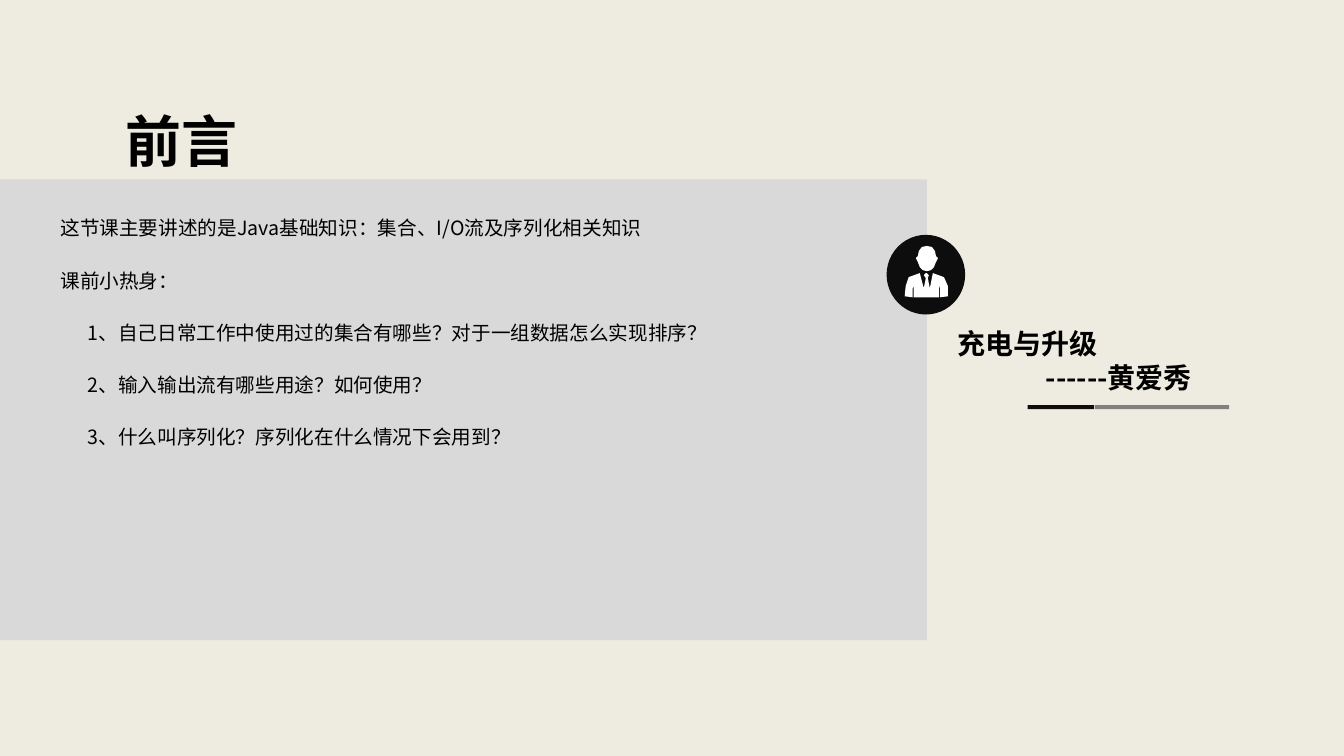
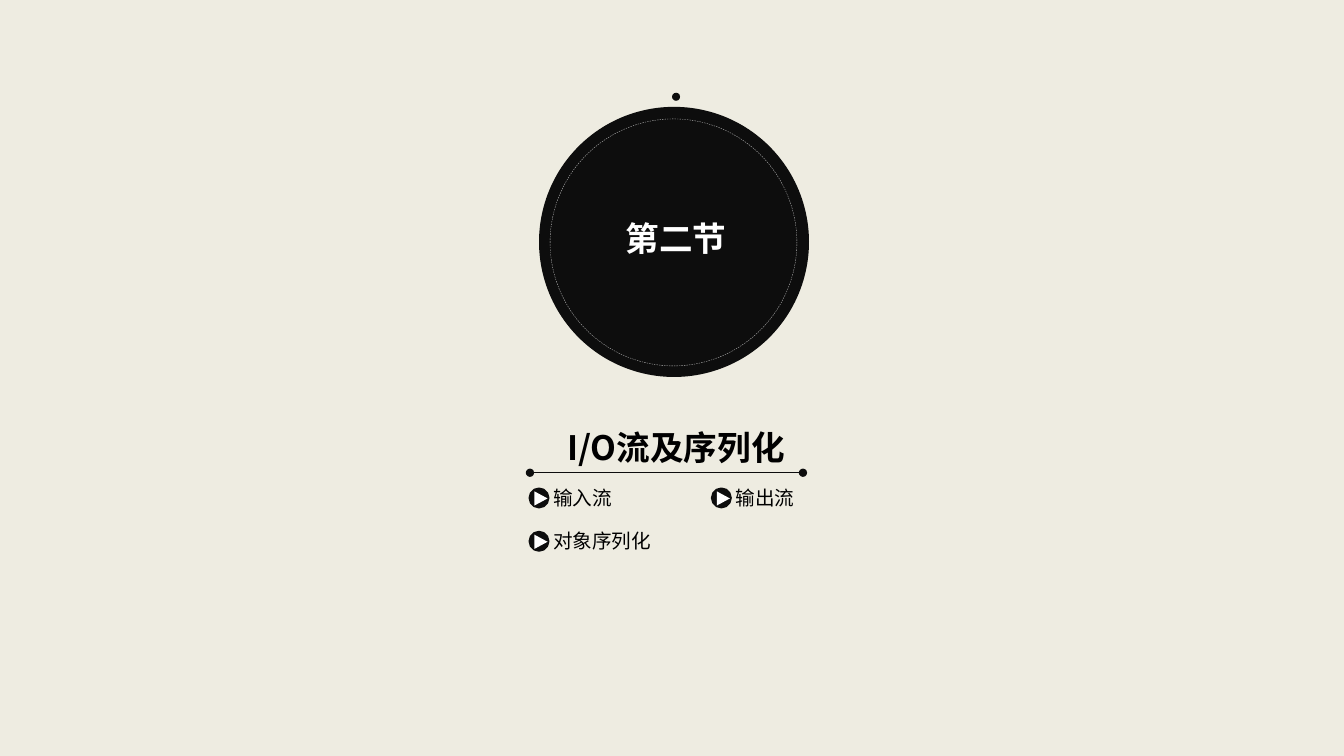
from dataclasses import dataclass
from typing import Any

import pptx
import pptx.dml.color
import pptx.enum.dml
import pptx.enum.shapes
import pptx.enum.text
import pptx.oxml.ns
import pptx.oxml.xmlchemy
import pptx.util

PX = 9144  # EMU per px, 100 px to the inch
FONT = "Noto Sans CJK SC"
PAPER, PANEL, INK = "EEECE1", "D9D9D9", "0D0D0D"
BLACK, WHITE, GRAY, SILVER = "000000", "FFFFFF", "808080", "BFBFBF"

KIND = pptx.enum.shapes.MSO_SHAPE
ALIGN = pptx.enum.text.PP_ALIGN
ANCHOR = pptx.enum.text.MSO_ANCHOR
qn = pptx.oxml.ns.qn
make = pptx.oxml.xmlchemy.OxmlElement

SUIT = [(941, 284), (937, 275), (926, 271), (923, 286), (921, 276), (922, 273),
        (920, 271), (919, 271), (917, 273), (919, 276), (917, 286), (913, 271),
        (902, 275), (899, 284), (898, 294), (906, 295), (906, 286), (907, 283),
        (907, 295), (932, 295), (932, 283), (933, 286), (933, 295), (941, 294)]
HEAD = [(911, 254), (912, 249), (915, 245), (920, 244), (925, 245), (928, 249),
        (929, 254), (931, 256), (929, 260), (927, 265), (924, 268), (920, 269),
        (916, 268), (913, 265), (911, 260), (909, 256)]


@dataclass(frozen=True)
class Box:
    left: int
    top: int
    width: int
    height: int

    def emu(self) -> tuple[int, ...]:
        return tuple(n * PX for n in (self.left, self.top, self.width, self.height))


@dataclass(frozen=True)
class Style:
    size: int
    bold: bool = False
    color: str = BLACK
    align: Any = ALIGN.LEFT
    anchor: Any = ANCHOR.TOP
    inset: tuple[int, int] = (0, 0)
    space: float = 1.0
    after: int = 0


@dataclass(frozen=True)
class Line:
    text: str
    indent: int = 0


@dataclass(frozen=True)
class Item:
    text: str
    col: int
    row: int


HEADING = Style(40, True, align=ALIGN.CENTER, inset=(13, 7))
LIST = Style(14, align=ALIGN.JUSTIFY, inset=(10, 5), space=1.5, after=12)
AUTHOR = Style(20, True, inset=(7, 4))
TOPIC = Style(24, True, align=ALIGN.CENTER, anchor=ANCHOR.MIDDLE)
BADGE = Style(24, True, WHITE, ALIGN.CENTER, ANCHOR.MIDDLE)
LABEL = Style(14)


def rgb(code: str) -> pptx.dml.color.RGBColor:
    return pptx.dml.color.RGBColor.from_string(code)


def paint(shape: Any, fill: str | None, line: str | None = None, width: float = 0) -> Any:
    shape.shadow.inherit = False
    if fill:
        shape.fill.solid()
        shape.fill.fore_color.rgb = rgb(fill)
    else:
        shape.fill.background()
    if line:
        shape.line.color.rgb = rgb(line)
        shape.line.width = pptx.util.Pt(width)
    else:
        shape.line.fill.background()
    return shape


def draw(shapes: Any, kind: Any, box: Box, fill: str | None,
         line: str | None = None, width: float = 0) -> Any:
    return paint(shapes.add_shape(kind, *box.emu()), fill, line, width)


def trace(shapes: Any, points: list[tuple[int, int]], fill: str) -> None:
    pen = shapes.build_freeform(*points[0], scale=PX)
    pen.add_line_segments(points[1:], close=True)
    paint(pen.convert_to_shape(), fill)


def write(shape: Any, box: Box, style: Style, lines: list[Line]) -> None:
    shape.left, shape.top, shape.width, shape.height = box.emu()
    frame = shape.text_frame
    frame.auto_size = pptx.enum.text.MSO_AUTO_SIZE.NONE
    frame.word_wrap = True
    frame.vertical_anchor = style.anchor
    frame.margin_left = frame.margin_right = style.inset[0] * PX
    frame.margin_top = frame.margin_bottom = style.inset[1] * PX
    frame.text = "\n".join(line.text for line in lines)
    for para, line in zip(frame.paragraphs, lines):
        para.alignment = style.align
        para.line_spacing = style.space
        para.space_before = pptx.util.Pt(0)
        para.space_after = pptx.util.Pt(style.after)
        font = para.font
        font.name, font.bold = FONT, style.bold
        font.size = pptx.util.Pt(style.size)
        font.color.rgb = rgb(style.color)
        # Indent, no bullet, East Asian font
        props = para._p.get_or_add_pPr()
        props.set("marL", str(line.indent * PX))
        props.set("indent", "0")
        base = props.find(qn("a:defRPr"))
        base.addprevious(make("a:buNone"))
        east = make("a:ea")
        east.set("typeface", FONT)
        base.append(east)


def label(shapes: Any, box: Box, style: Style, *lines: Line) -> None:
    write(shapes.add_textbox(*box.emu()), box, style, list(lines))


def rule(shapes: Any, left: int, right: int, y: int) -> None:
    line = shapes.add_connector(pptx.enum.shapes.MSO_CONNECTOR.STRAIGHT,
                                left * PX, y * PX, right * PX, y * PX)
    line.line.color.rgb = rgb(INK)
    line.line.width = pptx.util.Pt(0.75)
    props = line.element.spPr
    for tag in ("a:headEnd", "a:tailEnd"):
        end = make(tag)
        end.set("type", "oval")
        props.find(qn("a:ln")).append(end)
    props.append(make("a:effectLst"))


def bullet(shapes: Any, item: Item) -> None:
    x, y = 526 + item.col * 181, 482 + item.row * 43
    group = shapes.add_group_shape().shapes
    label(group, Box(x + 23, y, 134, 24), LABEL, Line(item.text))
    draw(group, KIND.OVAL, Box(x, y + 3, 18, 18), INK, INK, 2)
    arrow = draw(group, KIND.ISOSCELES_TRIANGLE, Box(x + 4, y + 6, 14, 13), WHITE)
    arrow.rotation = 90


def intro(deck: Any) -> None:
    slide = deck.slides.add_slide(deck.slide_layouts[1])
    shapes = slide.shapes
    # Panel behind the text
    panel = draw(shapes, KIND.RECTANGLE, Box(0, 178, 920, 457), PANEL)
    shapes.title.element.addprevious(panel.element)
    # Title and list
    write(shapes.title, Box(0, 99, 360, 80), HEADING, [Line("前言")])
    write(slide.placeholders[1], Box(50, 198, 819, 254), LIST, [
        Line("这节课主要讲述的是Java基础知识：集合、I/O流及序列化相关知识"),
        Line("课前小热身："),
        Line("1、自己日常工作中使用过的集合有哪些？对于一组数据怎么实现排序？", 27),
        Line("2、输入输出流有哪些用途？如何使用？", 27),
        Line("3、什么叫序列化？序列化在什么情况下会用到？", 27),
    ])
    # Person badge
    badge = shapes.add_group_shape().shapes
    draw(badge, KIND.OVAL, Box(880, 233, 78, 79), INK)
    for points in (SUIT, HEAD):
        trace(badge, points, WHITE)
    # Author and underline
    label(shapes, Box(943, 320, 287, 75), AUTHOR,
          Line("充电与升级"), Line("------黄爱秀", 88))
    draw(shapes, KIND.RECTANGLE, Box(1020, 402, 66, 4), INK)
    draw(shapes, KIND.RECTANGLE, Box(1087, 402, 133, 4), GRAY)


def section(deck: Any) -> None:
    shapes = deck.slides.add_slide(deck.slide_layouts[5]).shapes
    # Round badge
    draw(shapes, KIND.OVAL, Box(535, 106, 268, 268), INK)
    draw(shapes, KIND.OVAL, Box(667, 92, 8, 8), INK)
    ring = draw(shapes, KIND.OVAL, Box(546, 118, 245, 245), None, SILVER, 0.25)
    ring.line.dash_style = pptx.enum.dml.MSO_LINE.DASH
    label(shapes, Box(541, 210, 260, 52), BADGE, Line("第二节"))
    # Title and topics
    write(shapes.title, Box(541, 418, 260, 52), TOPIC, [Line("I/O流及序列化")])
    rule(shapes, 526, 797, 469)
    for item in (Item("输入流", 0, 0), Item("输出流", 1, 0), Item("对象序列化", 0, 1)):
        bullet(shapes, item)


def main() -> None:
    deck = pptx.Presentation()
    deck.slide_width, deck.slide_height = 1334 * PX, 750 * PX
    back = deck.slide_master.background.fill
    back.solid()
    back.fore_color.rgb = rgb(PAPER)
    intro(deck)
    section(deck)
    deck.save("out.pptx")


if __name__ == "__main__":
    main()
